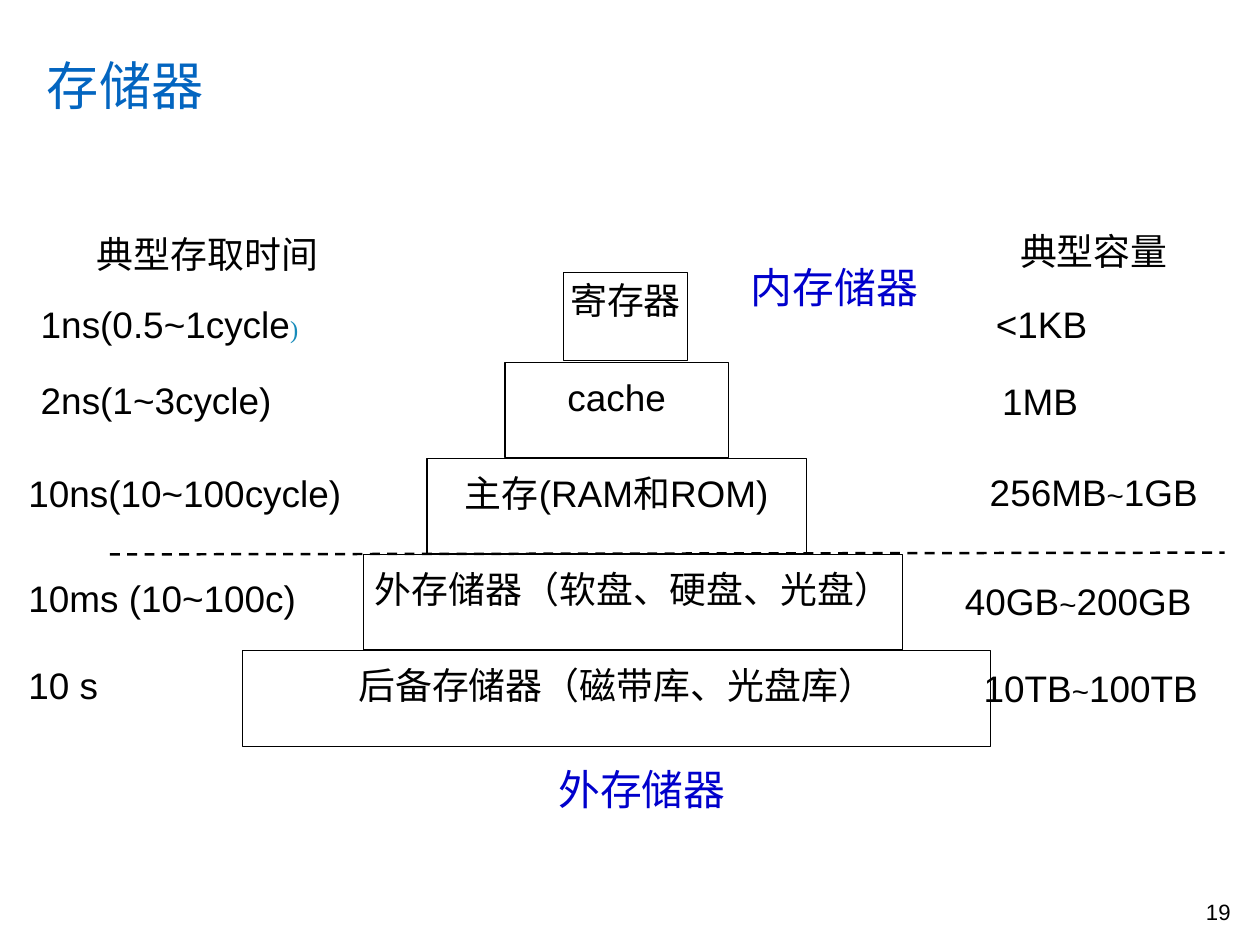
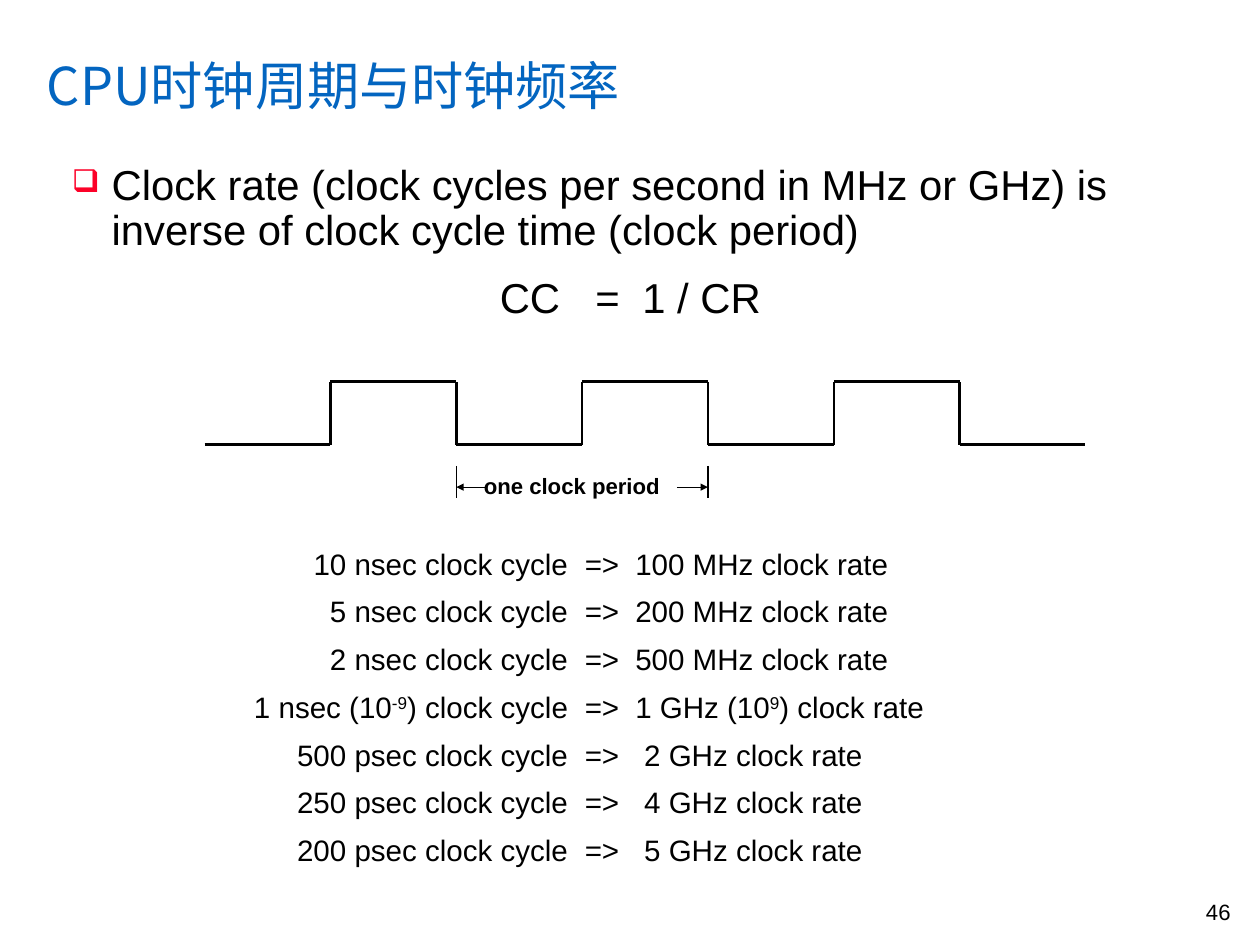
from lxml import etree
from pptx import Presentation, util as u
from pptx.dml.color import RGBColor
from pptx.enum import dml, shapes, text
from pptx.oxml import ns

LATIN, CJK = "Arial", "Noto Sans CJK SC"
BLACK, WHITE = "000000", "FFFFFF"
TITLE_BLUE, LABEL_BLUE = "0365C0", "0000CC"
BULLET_RED, PAREN_BLUE = "FC0128", "168BBA"
LEFT, CENTER = text.PP_ALIGN.LEFT, text.PP_ALIGN.CENTER


def paint(colour_format, colour):
    colour_format.rgb = RGBColor.from_string(colour)


def add_xml(parent, tag, **attributes):
    return etree.SubElement(parent, ns.qn(tag), attributes)


def add_span(para, words, size, colour=BLACK, font=LATIN, bold=False, raised=False):
    span = para.add_run()
    span.text = words
    span.font.size, span.font.name, span.font.bold = u.Pt(size), font, bold
    paint(span.font.color, colour)
    properties = span._r.get_or_add_rPr()
    add_xml(properties, "a:ea", typeface=CJK)
    if raised:
        properties.set("baseline", "30000")


def set_frame(box, inset, wrap=True, anchor=text.MSO_ANCHOR.TOP):
    frame = box.text_frame
    frame.word_wrap, frame.vertical_anchor = wrap, anchor
    frame.margin_left = frame.margin_top = u.Inches(inset)
    frame.margin_right = frame.margin_bottom = u.Inches(inset)
    return frame


def add_box(page, left, top, width, height, inset=0, **options):
    box = page.shapes.add_textbox(*map(u.Inches, (left, top, width, height)))
    return set_frame(box, inset, **options)


def add_label(page, left, top, width, height, words, size=30, align=LEFT, inset=0):
    para = add_box(page, left, top, width, height, inset).paragraphs[0]
    para.alignment, para.line_spacing = align, 1.1
    add_span(para, words, size)
    return para


def add_line(page, start, end, width=2, dashed=False, arrow=False):
    line = page.shapes.add_connector(
        shapes.MSO_CONNECTOR.STRAIGHT, *map(u.Inches, (*start, *end)))
    line.line.width = u.Pt(width)
    paint(line.line.color, BLACK)
    if dashed:
        line.line.dash_style = dml.MSO_LINE.DASH
    if arrow:
        add_xml(line.line._get_or_add_ln(), "a:tailEnd", type="triangle")
    add_xml(line._element.spPr, "a:effectLst")


def add_tabs(para, *stops):
    tabs = add_xml(para._p.get_or_add_pPr(), "a:tabLst")
    for position, side in stops:
        add_xml(tabs, "a:tab", pos=str(u.Inches(position)), algn=side)


def add_page(deck, title, number):
    page = deck.slides.add_slide(deck.slide_layouts[6])
    frame = add_box(page, 0.47, 0.49, 12.14, 0.94, 0.06, anchor=text.MSO_ANCHOR.MIDDLE)
    add_span(frame.paragraphs[0], title, 42.4, TITLE_BLUE, CJK)
    para = add_box(page, 13.55, 10.08, 0.4, 0.42, 0.06, wrap=False).paragraphs[0]
    para.alignment = CENTER
    add_span(para, number, 18)
    return page


def add_level(page, left, top, width, height, words, inset=0.09):
    level = page.shapes.add_shape(
        shapes.MSO_SHAPE.RECTANGLE, *map(u.Inches, (left, top, width, height)))
    level.shadow.inherit = False
    level.fill.solid()
    paint(level.fill.fore_color, WHITE)
    level.line.width = u.Pt(1)
    paint(level.line.color, BLACK)
    para = set_frame(level, inset).paragraphs[0]
    para.alignment, para.line_spacing = CENTER, 1.1
    add_span(para, words, 30)


def add_pyramid(page, left, top):
    levels = [
        (3.62, 1.4, "寄存器"),
        (2.96, 2.52, "cache"),
        (2.08, 4.28, "主存(RAM和ROM)"),
        (1.36, 6.09, "外存储器（软盘、硬盘、光盘）"),
        (0, 8.44, "后备存储器（磁带库、光盘库）"),
    ]
    for row, (offset, width, words) in enumerate(levels):
        y = top + 1.01 + (row - 1) * 1.085 if row else top
        add_level(page, left + offset, y, width, 1.08 if row else 0.99, words,
                  0.09 if row else 0)
    # Border between internal and external memory
    add_line(page, (left - 1.5, top + 3.18), (left + 11.08, top + 3.16), dashed=True)
    for x, y, words in [(5.42, -0.27, "内存储器"), (3.25, 5.4, "外存储器")]:
        para = add_label(page, left + x, top + y, 2.51, 0.85, words, 34, CENTER, 0.09)
        paint(para.runs[0].font.color, LABEL_BLUE)


def add_access_times(page, left, top):
    add_label(page, left + 0.26, top, 3.52, 0.58, "典型存取时间", align=CENTER)
    rows = [
        (0.14, 0.79, "1ns(0.5~1cycle"),
        (0.14, 1.64, "2ns(1~3cycle)"),
        (0, 2.69, "10ns(10~100cycle)"),
        (0, 3.88, "10ms (10~100c)"),
        (0, 4.86, "10 s"),
    ]
    paras = [add_label(page, left + x, top + y, 4.5, 0.46, words) for x, y, words in rows]
    add_span(paras[0], ")", 20, PAREN_BLUE, "Times New Roman")


def add_capacities(page, left, top):
    add_label(page, left + 0.2, top, 2.51, 0.58, "典型容量", align=CENTER)
    rows = [
        (0.35, 0.83, "<1KB", ""),
        (0.42, 1.7, "1MB", ""),
        (0.28, 2.72, "256MB", "1GB"),
        (0, 3.95, "40GB", "200GB"),
        (0.21, 4.94, "10TB", "100TB"),
    ]
    for x, y, low, high in rows:
        para = add_label(page, left + x, top + y, 3.33 - x, 0.46, low)
        if high:
            add_span(para, "~", 24)
            add_span(para, high, 30)


def add_definition(page, left, top):
    frame = add_box(page, left, top, 12.68, 2, 0.04)
    rule, formula = frame.paragraphs[0], frame.add_paragraph()
    rule.line_spacing = formula.line_spacing = 0.9
    formula.space_before = u.Pt(18)
    # Bullet with hanging indent
    properties = rule._p.get_or_add_pPr()
    properties.set("marL", str(u.Inches(0.45)))
    properties.set("indent", str(-u.Inches(0.45)))
    add_xml(add_xml(properties, "a:buClr"), "a:srgbClr", val=BULLET_RED)
    add_xml(properties, "a:buSzPct", val="75000")
    add_xml(properties, "a:buChar", char="❑")
    add_span(rule, "Clock rate (clock cycles per second in MHz or GHz) is "
                   "inverse of clock cycle time (clock period)", 34)
    add_tabs(formula, (4.83, "l"), (5.91, "l"), (6.44, "l"))
    add_span(formula, "\tCC\t=\t1 / CR", 34)


def add_clock(page, left, top):
    step, rise, phases = 1.42, 0.71, 7
    levels = [top + rise, top]
    for phase in range(phases):
        x, y = left + phase * step, levels[phase % 2]
        add_line(page, (x, y), (x + step, y))
        if phase:
            add_line(page, (x, levels[0]), (x, levels[1]))
    # One period, from the second edge to the fourth
    for edge, inward in [(2, 0.35), (4, -0.35)]:
        x = left + edge * step
        add_line(page, (x, top + 0.95), (x, top + 1.31), 1)
        add_line(page, (x + inward, top + 1.19), (x, top + 1.19), 1, arrow=True)
    para = add_box(page, left + 3.08, top + 0.95, 2.49, 0.43, 0.07).paragraphs[0]
    add_span(para, "one clock period", 18, bold=True)


def add_rates(page, left, top):
    # Odd pieces between carets are superscripts
    rows = [
        ("10 nsec", "100 MHz"),
        ("5 nsec", "200 MHz"),
        ("2 nsec", "500 MHz"),
        ("1 nsec (10^-9^)", "1 GHz (10^9^)"),
        ("500 psec", "2 GHz"),
        ("250 psec", "4 GHz"),
        ("200 psec", "5 GHz"),
    ]
    frame = add_box(page, left, top, 9.24, 3.75, 0.07)
    for row, (cycle, rate) in enumerate(rows):
        para = frame.add_paragraph() if row else frame.paragraphs[0]
        if row:
            para.space_before = u.Pt(10)
        rate_stop = 4.65 if "psec" in cycle else 4.55
        add_tabs(para, (3.79, "r"), (3.98, "l"), (rate_stop, "l"))
        words = f"\t{cycle} clock cycle\t=>\t{rate} clock rate"
        for piece, part in enumerate(words.split("^")):
            add_span(para, part, 24, raised=piece % 2 == 1)


def main():
    deck = Presentation()
    deck.slide_width, deck.slide_height = u.Inches(14.22), u.Inches(10.67)

    memory = add_page(deck, "存储器", "19")
    add_pyramid(memory, 2.74, 3.08)
    add_capacities(memory, 10.89, 2.53)
    add_access_times(memory, 0.32, 2.57)

    clock = add_page(deck, "CPU时钟周期与时钟频率", "46")
    add_definition(clock, 0.77, 1.82)
    add_rates(clock, 2.55, 6.09)
    add_clock(clock, 2.31, 4.31)

    deck.save("out.pptx")


if __name__ == "__main__":
    main()
